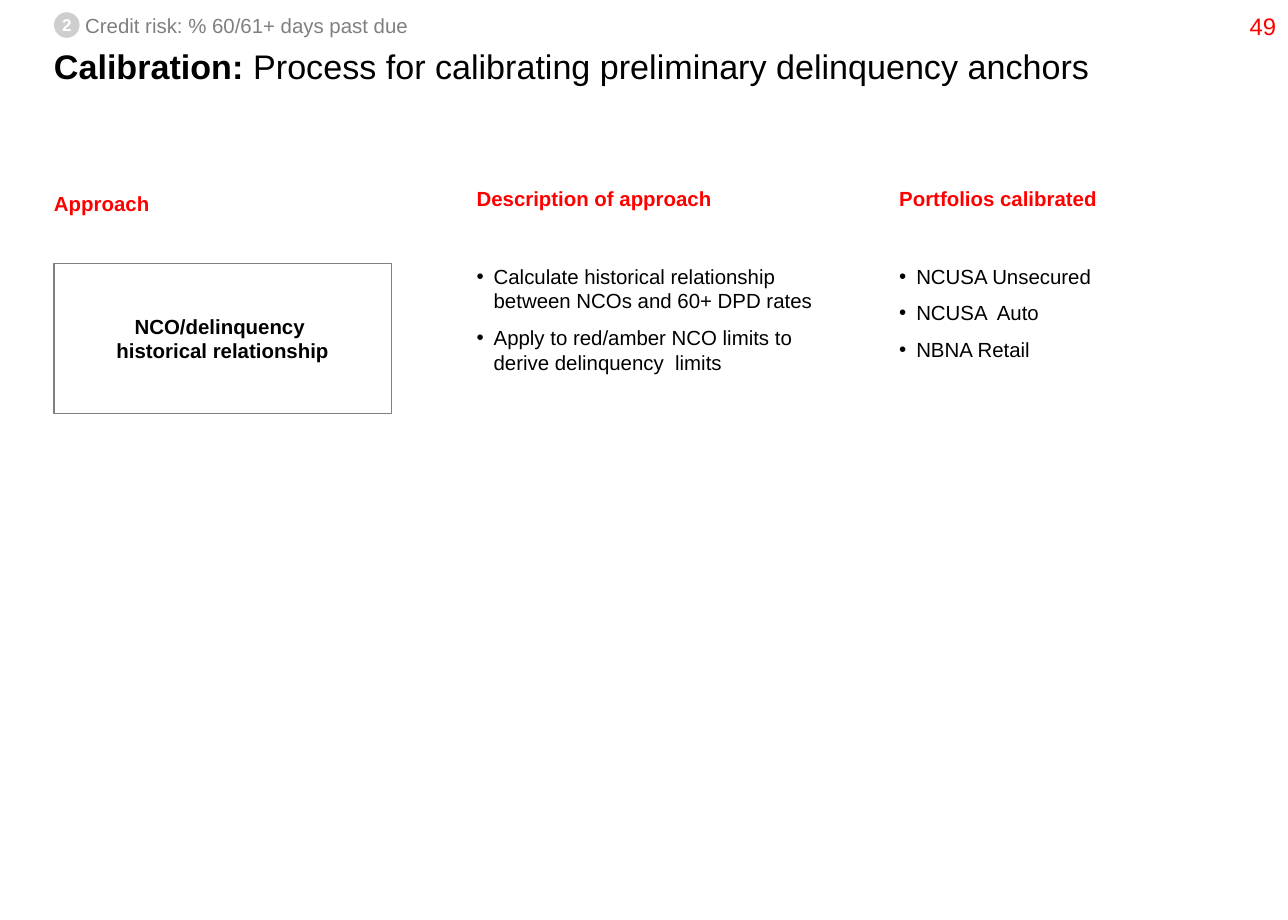
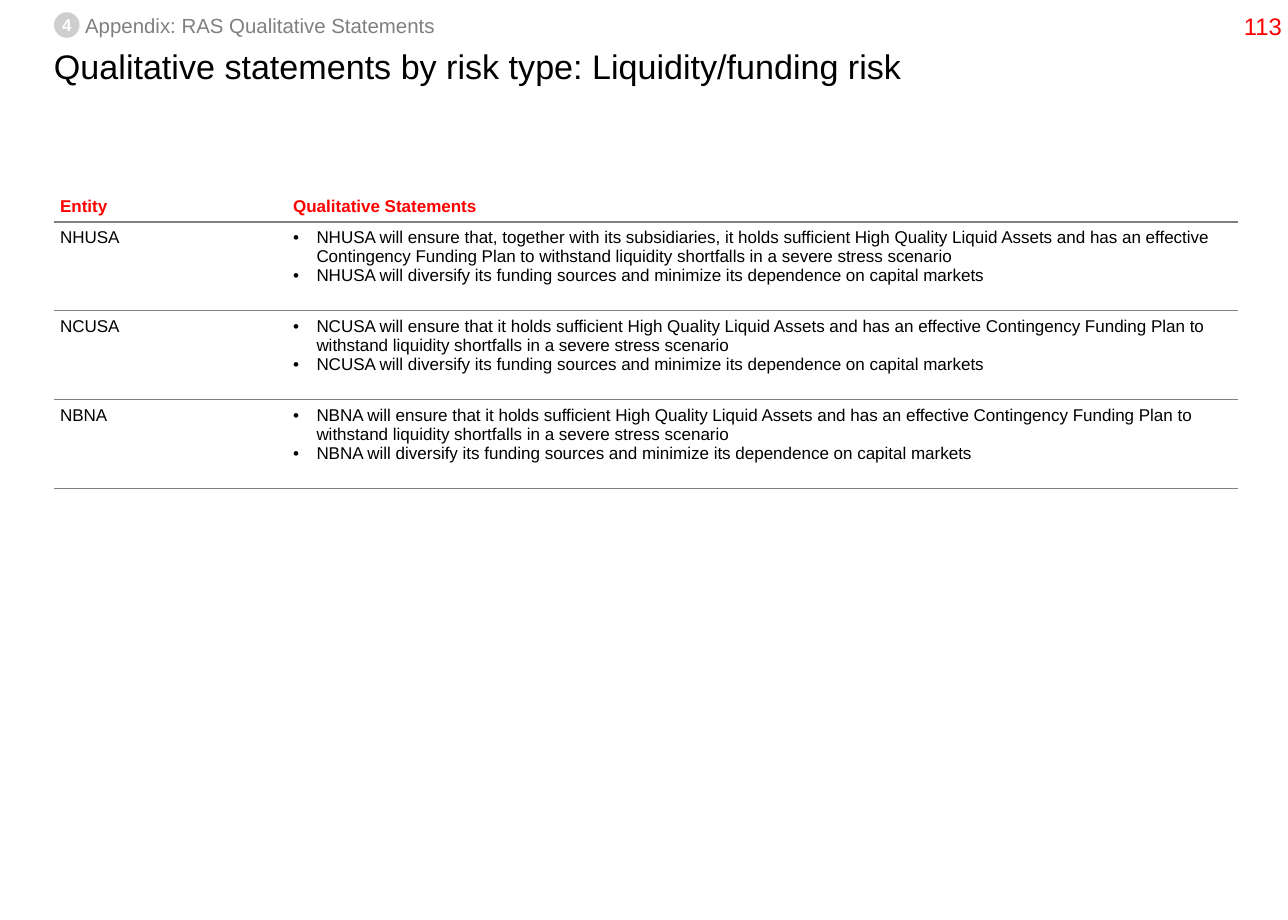
from lxml import etree
from pptx import Presentation
from pptx.dml.color import RGBColor
from pptx.enum import shapes, text
from pptx.oxml import ns
from pptx.util import Pt

COLORS = {"ink": "000000", "accent": "FF0000", "grey": "808080",
          "badge": "CECECE", "white": "FFFFFF"}
FONT = "Arial"
LEFT = 31.7
NO_STYLE_TABLE = "{2D5ABB26-0587-4C30-8999-92F81FD0307C}"

CALIBRATION = {
    "section": ("2", "Credit risk: % 60/61+ days past due"),
    "page": "49",
    "title": [("Calibration: ", True),
              ("Process for calibrating preliminary delinquency anchors", False)],
    "headings": [("Approach", 112.3), ("Description of approach", 109.4),
                 ("Portfolios calibrated", 109.4)],
    "approach": "NCO/delinquency \vhistorical relationship",
    "lists": [
        ["Calculate historical relationship between NCOs and 60+ DPD rates",
         "Apply to red/amber NCO limits to derive delinquency  limits"],
        ["NCUSA Unsecured", "NCUSA  Auto", "NBNA Retail"],
    ],
}
ENSURE = ("it holds sufficient High Quality Liquid Assets and has an effective "
          "Contingency Funding Plan to withstand liquidity shortfalls in a severe "
          "stress scenario")
DIVERSIFY = ("will diversify its funding sources and minimize its dependence "
             "on capital markets")
LIQUIDITY = {
    "section": ("4", "Appendix: RAS Qualitative Statements"),
    "page": "113",
    "title": [("Qualitative statements by risk type: Liquidity/funding risk", False)],
    "header": ("Entity", "Qualitative Statements"),
    "entities": [("NHUSA", "that, together with its subsidiaries,"),
                 ("NCUSA", "that"), ("NBNA", "that")],
}


def color(name):
    return RGBColor.from_string(COLORS[name])


def style(paragraph, size, ink="ink", bold=False):
    for run in paragraph.runs:
        font = run.font
        font.name, font.size, font.bold = FONT, Pt(size), bold
        font.color.rgb = color(ink)


def set_margins(frame, margin=0):
    frame.margin_left = frame.margin_right = Pt(margin)
    frame.margin_top = frame.margin_bottom = Pt(margin)


def place(shape, left, top, width, height):
    shape.left, shape.top = Pt(left), Pt(top)
    shape.width, shape.height = Pt(width), Pt(height)


def add_label(parent, words, box, size, ink, bold=False, wrap=True):
    label = parent.add_textbox(*map(Pt, box))
    frame = label.text_frame
    set_margins(frame)
    frame.word_wrap = wrap
    frame.text = words
    style(frame.paragraphs[0], size, ink, bold)
    return frame


def add_flat_shape(parent, kind, box, words, size, ink):
    shape = parent.add_shape(kind, *map(Pt, box))
    shape.shadow.inherit = False
    frame = shape.text_frame
    set_margins(frame)
    frame.vertical_anchor = text.MSO_ANCHOR.MIDDLE
    frame.text = words
    frame.paragraphs[0].alignment = text.PP_ALIGN.CENTER
    style(frame.paragraphs[0], size, ink, True)
    return shape


def fill_bullets(frame, items, size, indent, gap=0):
    frame.text = "\n".join(items)
    for i, paragraph in enumerate(frame.paragraphs):
        paragraph.space_before = Pt(gap if i else 0)
        props = paragraph._p.get_or_add_pPr()
        props.set("marL", str(Pt(indent)))
        props.set("indent", str(-Pt(indent)))
        etree.SubElement(props, ns.qn("a:buFont")).set("typeface", FONT)
        etree.SubElement(props, ns.qn("a:buChar")).set("char", "•")
        style(paragraph, size)


def add_framed_slide(prs, layout, content):
    """Add a slide with its title, section marker and page number."""
    slide = prs.slides.add_slide(prs.slide_layouts[layout])
    title = slide.shapes.title
    place(title, LEFT, 30.2, 693.4, 57.6)
    frame = title.text_frame
    set_margins(frame)
    frame.auto_size = text.MSO_AUTO_SIZE.NONE
    frame.vertical_anchor = text.MSO_ANCHOR.TOP
    heading = frame.paragraphs[0]
    heading.alignment, heading.line_spacing = text.PP_ALIGN.LEFT, 0.86
    for words, bold in content["title"]:
        run = heading.add_run()
        run.text = words
    style(heading, 20)
    for run, (words, bold) in zip(heading.runs, content["title"]):
        run.font.bold = bold

    number, section = content["section"]
    marker = slide.shapes.add_group_shape().shapes
    add_label(marker, section, (50, 7.9, 210, 14.4), 12, "grey", wrap=False)
    badge = add_flat_shape(marker, shapes.MSO_SHAPE.OVAL, (LEFT, 7.2, 15, 15),
                           number, 10, "white")
    badge.text_frame.word_wrap = False
    badge.fill.solid()
    badge.fill.fore_color.rgb = color("badge")
    badge.line.fill.background()

    page = add_label(slide.shapes, content["page"], (726.5, 0, 29.5, 30.2),
                     14, "accent", wrap=False)
    page.vertical_anchor = text.MSO_ANCHOR.MIDDLE
    page.paragraphs[0].alignment = text.PP_ALIGN.CENTER
    return slide


def build_calibration(prs):
    slide = add_framed_slide(prs, 3, CALIBRATION)
    width, top = 198, 154.8
    lefts = [LEFT + i * 248.05 for i in range(3)]
    for left, (heading, heading_top) in zip(lefts, CALIBRATION["headings"]):
        add_label(slide.shapes, heading, (left, heading_top, width, 14.4),
                  12, "accent", True)

    approach = add_flat_shape(slide.shapes, shapes.MSO_SHAPE.RECTANGLE,
                              (LEFT, top, width, 87.8), CALIBRATION["approach"],
                              12, "ink")
    approach.fill.background()
    approach.line.color.rgb = color("grey")
    approach.line.width = Pt(0.75)

    bodies = list(slide.placeholders)[1:3]
    for body, left, items in zip(bodies, lefts[1:], CALIBRATION["lists"]):
        place(body, left, top, width, 67)
        frame = body.text_frame
        set_margins(frame)
        frame.auto_size = text.MSO_AUTO_SIZE.NONE
        fill_bullets(frame, items, 12, 10, gap=7.2)


def underline_cell(cell):
    line = etree.SubElement(cell._tc.get_or_add_tcPr(), ns.qn("a:lnB"),
                            w=str(Pt(0.75)))
    fill = etree.SubElement(line, ns.qn("a:solidFill"))
    etree.SubElement(fill, ns.qn("a:srgbClr")).set("val", COLORS["grey"])


def build_liquidity(prs):
    slide = add_framed_slide(prs, 5, LIQUIDITY)
    widths = (136.8, 558)
    heights = [19.4] + [52.2] * len(LIQUIDITY["entities"])
    table = slide.shapes.add_table(
        len(heights), len(widths), Pt(LEFT), Pt(110.9),
        Pt(sum(widths)), Pt(sum(heights))).table
    table.first_row = table.horz_banding = False
    table._tbl.tblPr.find(ns.qn("a:tableStyleId")).text = NO_STYLE_TABLE
    for column, width in zip(table.columns, widths):
        column.width = Pt(width)
    for row, height in zip(table.rows, heights):
        row.height = Pt(height)
    for cell in table.iter_cells():
        set_margins(cell, 3.6)
        underline_cell(cell)
        cell.fill.solid()
        cell.fill.fore_color.rgb = color("white")

    for i, heading in enumerate(LIQUIDITY["header"]):
        cell = table.cell(0, i)
        cell.text = heading
        cell.vertical_anchor = text.MSO_ANCHOR.BOTTOM
        cell.text_frame.paragraphs[0].line_spacing = 0.86
        style(cell.text_frame.paragraphs[0], 10, "accent", True)
    for i, (entity, scope) in enumerate(LIQUIDITY["entities"], 1):
        name, statements = table.cell(i, 0), table.cell(i, 1)
        name.text = entity
        style(name.text_frame.paragraphs[0], 10)
        fill_bullets(statements.text_frame,
                     [f"{entity} will ensure {scope} {ENSURE}",
                      f"{entity} {DIVERSIFY}"], 10, 13.7)


def main():
    prs = Presentation()
    prs.slide_width, prs.slide_height = Pt(756), Pt(540)
    build_calibration(prs)
    build_liquidity(prs)
    prs.save("out.pptx")


if __name__ == "__main__":
    main()
